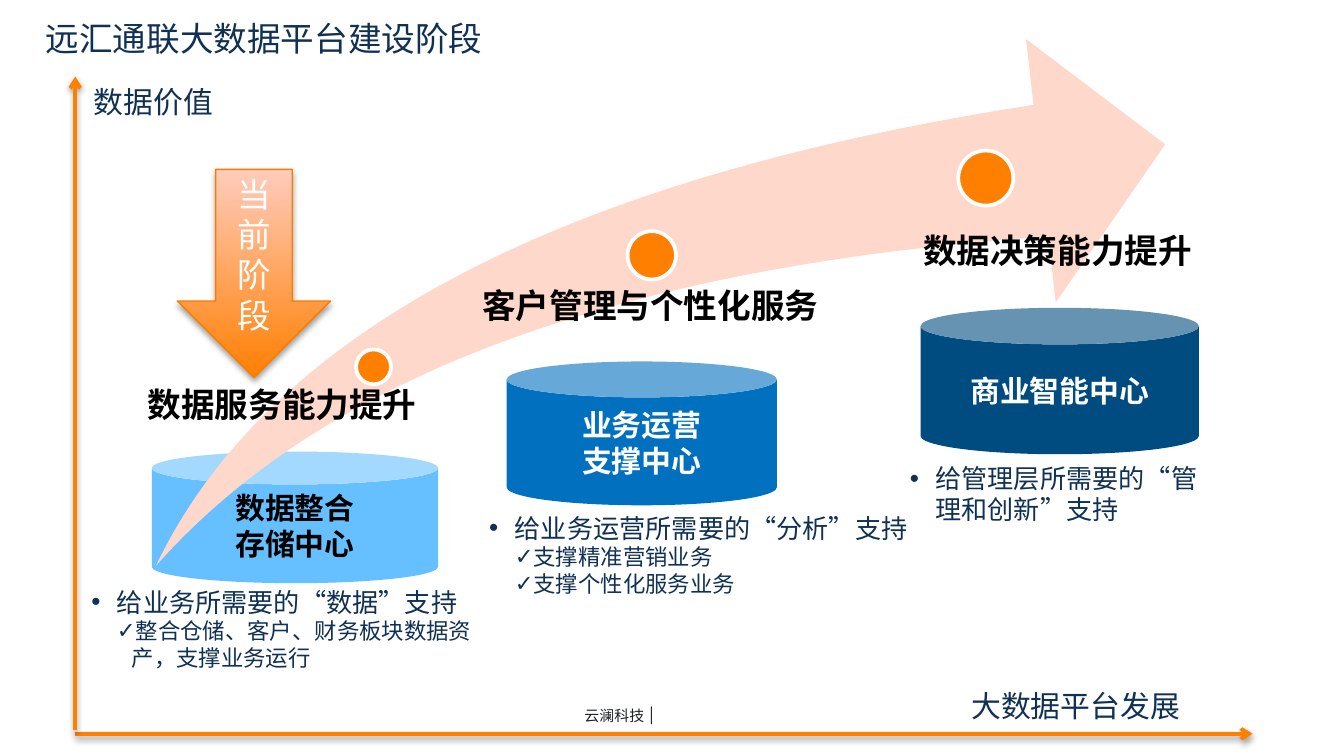
"""Build the slide on the stages of a big data platform."""
from dataclasses import dataclass
from typing import NamedTuple

from lxml.etree import SubElement
from pptx import Presentation
from pptx.dml.color import RGBColor
from pptx.enum.shapes import MSO_CONNECTOR, MSO_SHAPE
from pptx.enum.text import MSO_ANCHOR, MSO_AUTO_SIZE, PP_ALIGN
from pptx.oxml.ns import qn
from pptx.util import Emu, Inches, Pt

COLUMNS = 100
SLIDE_WIDTH = Inches(10)
SLIDE_HEIGHT = Emu(SLIDE_WIDTH * 9 // 16)
CELL = SLIDE_WIDTH // COLUMNS


class Box(NamedTuple):
    column: float
    row: float
    columns: float
    rows: float

    def lengths(self) -> list[Emu]:
        return [Emu(round(cells * CELL)) for cells in self]


class Style(NamedTuple):
    size: float
    color: str
    bold: bool = False
    font: str = "Noto Sans CJK SC"


@dataclass(frozen=True)
class Theme:
    accent: str = "FF7F01"
    arrow_edge: str = "FA7C00"
    swoosh: str = "FFD8CC"
    arrow_light: str = "FFCCBD"
    white: str = "FFFFFF"
    title: Style = Style(18, "103154", font="Quicksand")
    axis: Style = Style(16, "103154")
    heading: Style = Style(18, "000000", True)
    point: Style = Style(14, "103154")
    detail_size: float = 12
    marker: Style = Style(18, "FFFFFF", font="Quicksand")
    footer: Style = Style(8, "1E2327", font="Quicksand")
    footer_bar_size: float = 10
    store_size: float = 16
    line_width: float = 2


@dataclass(frozen=True)
class Stage:
    heading: str
    heading_box: Box
    store: tuple[str, ...]
    store_box: Box
    store_fill: str
    store_ink: str
    dot_box: Box
    points: tuple[str, ...]
    points_box: Box


THEME = Theme()
STAGES = (
    Stage("数据服务能力提升", Box(10, 28.1, 22.2, 4), ("数据整合", "存储中心"),
          Box(11.3, 33.6, 21.3, 9.8), "66C0FF", "000000", Box(26.5, 26, 2.6, 2.6),
          ("给业务所需要的“数据”支持", "整合仓储、客户、财务板块数据资产，支撑业务运行"),
          Box(5.8, 43.1, 30.8, 7.4)),
    Stage("客户管理与个性化服务", Box(34.9, 20.7, 27.3, 4), ("业务运营", "支撑中心"),
          Box(37.7, 26.9, 20.1, 10.7), "0070BF", "FFFFFF", Box(46.7, 17.2, 3.6, 3.6),
          ("给业务运营所需要的“分析”支持", "支撑精准营销业务", "支撑个性化服务业务"),
          Box(35.4, 37.6, 33.8, 7.4)),
    Stage("数据决策能力提升", Box(67.7, 16.6, 22.2, 4), ("商业智能中心",),
          Box(68.5, 22.9, 20.7, 10.9), "004B80", "FFFFFF", Box(71.3, 11.2, 4.1, 4.1),
          ("给管理层所需要的“管理和创新”支持",), Box(66.7, 33.9, 25, 5.7)),
)


def style_para(para, style: Style, align=PP_ALIGN.LEFT) -> None:
    para.alignment = align
    font = para.font
    font.size, font.bold, font.name = Pt(style.size), style.bold, style.font
    font.color.rgb = RGBColor.from_string(style.color)
    defaults = para._p.pPr.find(qn("a:defRPr"))
    SubElement(defaults, qn("a:ea")).set("typeface", style.font)


def write(shape, lines: tuple[str, ...], style: Style, align=PP_ALIGN.LEFT,
          wrap: bool = True) -> None:
    frame = shape.text_frame
    frame.word_wrap = wrap
    frame.text = "\n".join(lines)
    for para in frame.paragraphs:
        style_para(para, style, align)


def add_label(page, text: str, box: Box, style: Style, wrap: bool = True):
    label = page.shapes.add_textbox(*box.lengths())
    write(label, (text,), style, wrap=wrap)
    label.text_frame.auto_size = MSO_AUTO_SIZE.SHAPE_TO_FIT_TEXT
    return label


def add_figure(page, kind: MSO_SHAPE, box: Box, fill: str, edge: str | None = None,
               width: float = THEME.line_width):
    figure = page.shapes.add_shape(kind, *box.lengths())
    figure.shadow.inherit = False
    figure.fill.solid()
    figure.fill.fore_color.rgb = RGBColor.from_string(fill)
    if edge:
        figure.line.color.rgb = RGBColor.from_string(edge)
        figure.line.width = Pt(width)
    else:
        figure.line.fill.background()
    return figure


def cast_shadow(shape, opacity: int, distance: float) -> None:
    properties = shape._element.spPr
    effects = properties.find(qn("a:effectLst"))
    if effects is None:
        effects = SubElement(properties, qn("a:effectLst"))
    shadow = SubElement(effects, qn("a:outerShdw"), blurRad=str(Pt(3.1)),
                        dist=str(Pt(distance)), dir="5400000", rotWithShape="0")
    color = SubElement(shadow, qn("a:srgbClr"), val="000000")
    SubElement(color, qn("a:alpha"), val=str(opacity * 1000))


def add_axis(page, start: tuple[float, float], end: tuple[float, float]) -> None:
    ends = [Emu(round(cells * CELL)) for cells in (*start, *end)]
    axis = page.shapes.add_connector(MSO_CONNECTOR.STRAIGHT, *ends)
    axis.line.color.rgb = RGBColor.from_string(THEME.accent)
    axis.line.width = Pt(THEME.line_width)
    SubElement(axis.line._get_or_add_ln(), qn("a:tailEnd"), type="arrow")
    cast_shadow(axis, 38, 1.6)


def place(holder, box: Box) -> None:
    holder.left, holder.top, holder.width, holder.height = box.lengths()
    holder.text_frame.vertical_anchor = MSO_ANCHOR.TOP
    holder.text_frame.auto_size = MSO_AUTO_SIZE.SHAPE_TO_FIT_TEXT


def fill_points(holder, stage: Stage) -> None:
    place(holder, stage.points_box)
    write(holder, stage.points, THEME.point)
    for number, para in enumerate(holder.text_frame.paragraphs):
        if number:
            para.level = 1
            para.font.size = Pt(THEME.detail_size)
        margin, indent, mark = (0.3, -0.11, "✓") if number else (0.19, -0.19, "•")
        para.space_before = Pt(0)
        properties = para._p.pPr
        properties.set("marL", str(Inches(margin)))
        properties.set("indent", str(Inches(indent)))
        bullet = SubElement(properties, qn("a:buChar"), char=mark)
        properties.find(qn("a:defRPr")).addprevious(bullet)


def add_store(page, stage: Stage) -> None:
    store = add_figure(page, MSO_SHAPE.CAN, stage.store_box, stage.store_fill)
    store.adjustments[0] = 0.25
    style = Style(THEME.store_size, stage.store_ink, True)
    write(store, stage.store, style, PP_ALIGN.CENTER, wrap=False)
    store.text_frame.vertical_anchor = MSO_ANCHOR.MIDDLE


def add_marker(page) -> None:
    marker = add_figure(page, MSO_SHAPE.DOWN_ARROW, Box(13.2, 12.6, 11.4, 15.5),
                        THEME.accent, THEME.arrow_edge, 0.75)
    marker.fill.gradient()
    marker.fill.gradient_angle = 90
    for stop, color in zip(marker.fill.gradient_stops, (THEME.accent, THEME.arrow_light)):
        stop.color.rgb = RGBColor.from_string(color)
    cast_shadow(marker, 35, 1.8)
    write(marker, ("当前阶段",), THEME.marker, PP_ALIGN.CENTER)
    marker.text_frame.vertical_anchor = MSO_ANCHOR.MIDDLE


def add_footer(page) -> None:
    footer = add_label(page, "云澜科技", Box(42.5, 51.3, 16.5, 3.2), THEME.footer)
    para = footer.text_frame.paragraphs[0]
    para.line_spacing = 1.3
    span = para.add_run()
    span.text = " |"
    span.font.size = Pt(THEME.footer_bar_size)


def main() -> None:
    deck = Presentation()
    deck.slide_width, deck.slide_height = SLIDE_WIDTH, SLIDE_HEIGHT
    page = deck.slides.add_slide(deck.slide_layouts.get_by_name("Comparison"))
    title, *bodies = page.placeholders
    place(title, Box(2.4, 0.8, 66.7, 4))
    write(title, ("远汇通联大数据平台建设阶段",), THEME.title)
    for holder, stage in zip(bodies, STAGES):
        fill_points(holder, stage)
    for spare in bodies[len(STAGES):]:
        spare._element.getparent().remove(spare._element)
    add_footer(page)
    for stage in STAGES:
        add_store(page, stage)
    swoosh = add_figure(page, MSO_SHAPE.SWOOSH_ARROW, Box(11.6, 2.9, 75.1, 39.2), THEME.swoosh)
    swoosh.adjustments[0] = swoosh.adjustments[1] = 0.25
    for stage in STAGES:
        add_figure(page, MSO_SHAPE.OVAL, stage.dot_box, THEME.accent, THEME.white)
        add_label(page, stage.heading, stage.heading_box, THEME.heading, wrap=False)
    add_axis(page, (5.6, 54.6), (93.2, 54.6))
    add_axis(page, (5.6, 54.3), (5.6, 5.7))
    add_label(page, "数据价值", Box(6, 5.7, 17.3, 3.7), THEME.axis)
    add_label(page, "大数据平台发展", Box(71.3, 50.7, 21.2, 3.7), THEME.axis)
    add_marker(page)
    deck.save("out.pptx")


if __name__ == "__main__":
    main()
